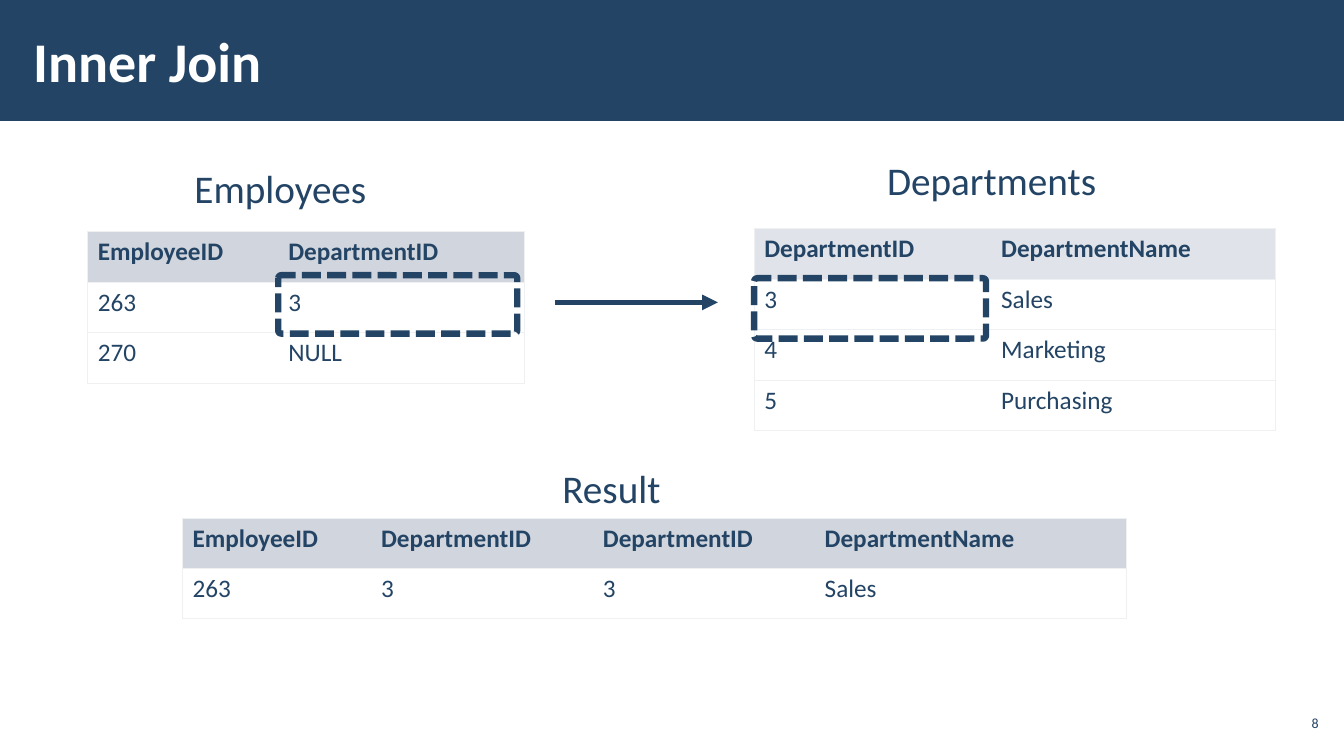
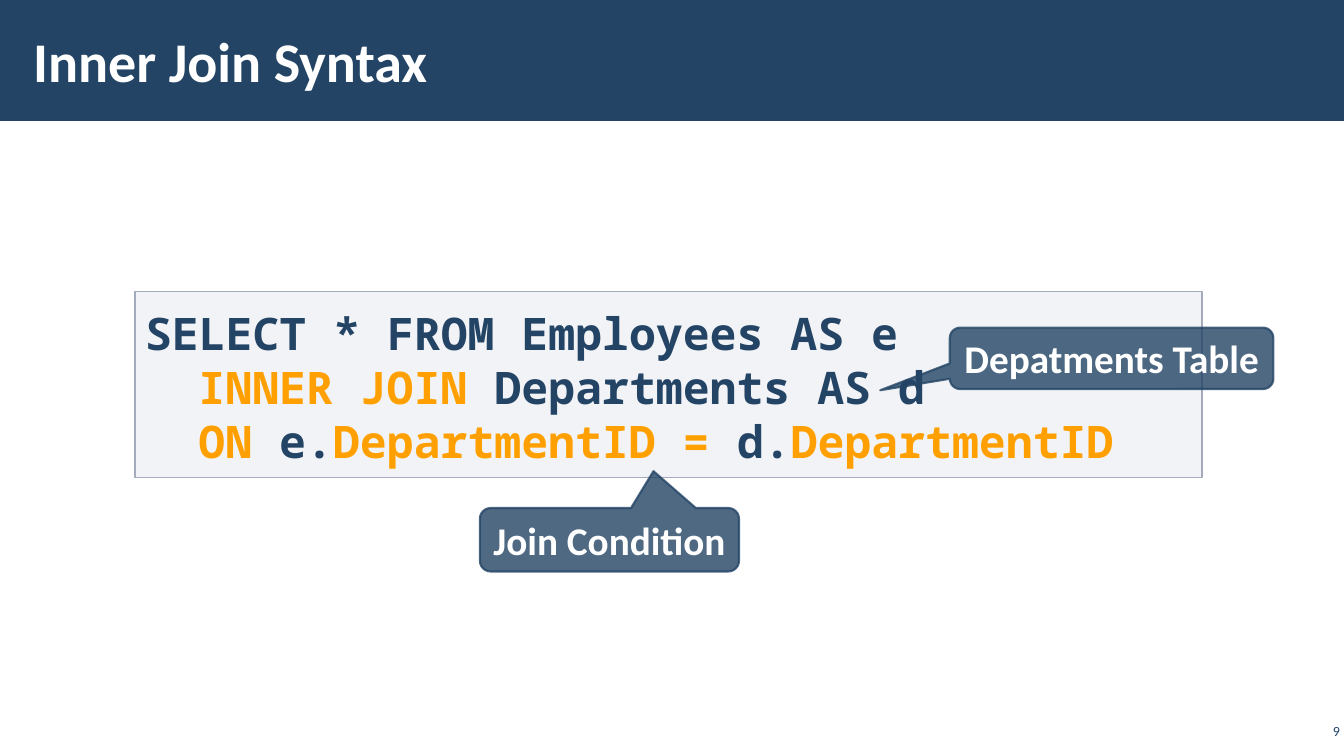
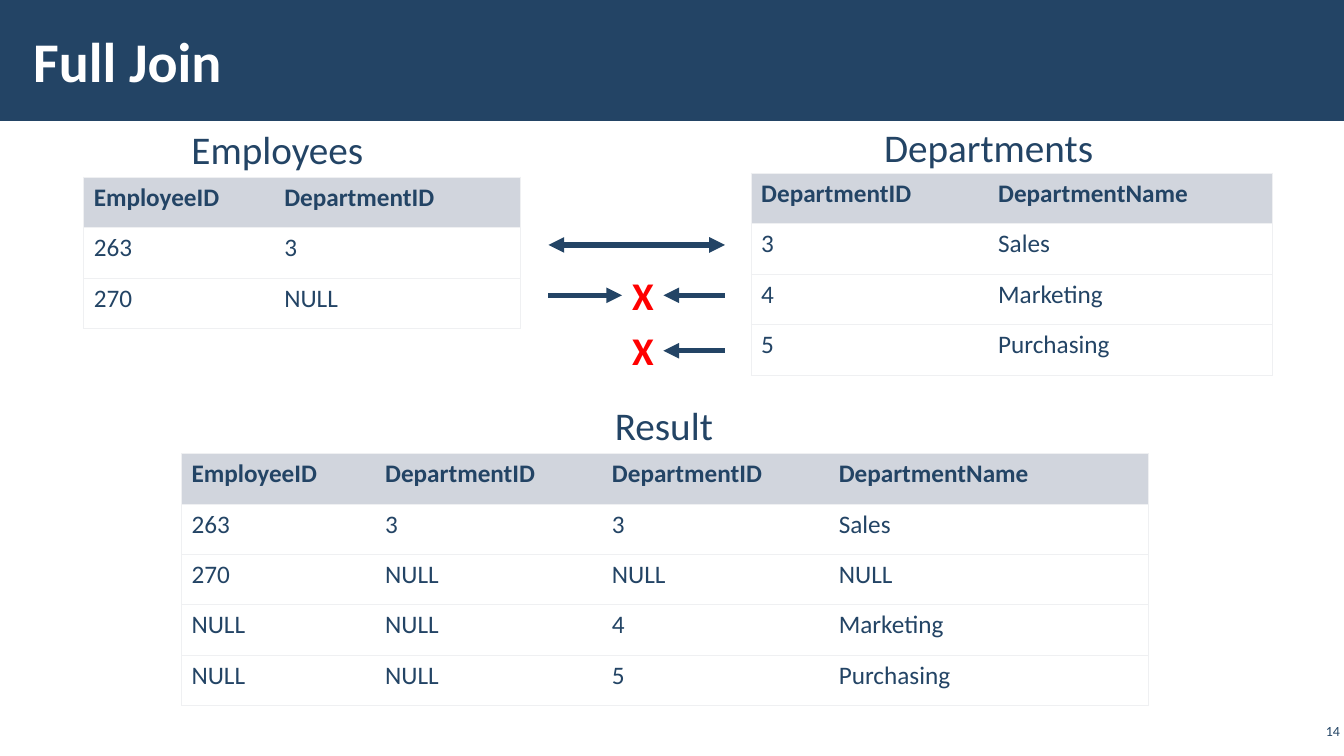
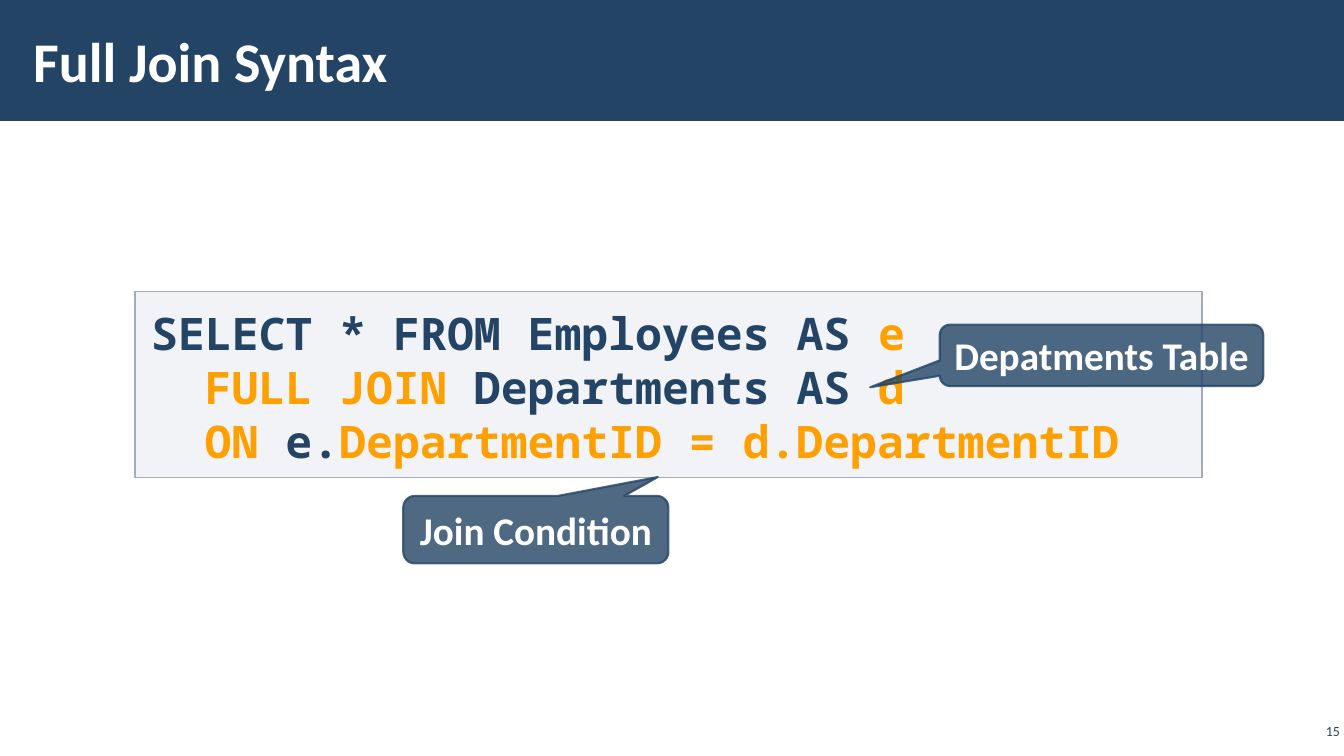
from lxml import etree
from pptx import Presentation
from pptx.dml.color import RGBColor
from pptx.enum.dml import MSO_LINE
from pptx.enum.shapes import MSO_CONNECTOR, MSO_SHAPE
from pptx.enum.text import MSO_ANCHOR, MSO_AUTO_SIZE, PP_ALIGN
from pptx.oxml.ns import qn
from pptx.util import Inches, Pt

RECTANGLE = MSO_SHAPE.RECTANGLE
ROUNDED = MSO_SHAPE.ROUNDED_RECTANGLE
CALLOUT = MSO_SHAPE.ROUNDED_RECTANGULAR_CALLOUT
STRAIGHT = MSO_CONNECTOR.STRAIGHT
DASHED = MSO_LINE.SQUARE_DOT
MIDDLE, TOP = MSO_ANCHOR.MIDDLE, MSO_ANCHOR.TOP
LEFT, CENTER, RIGHT = PP_ALIGN.LEFT, PP_ALIGN.CENTER, PP_ALIGN.RIGHT
FIT_SHAPE = MSO_AUTO_SIZE.SHAPE_TO_FIT_TEXT

NAVY, WHITE, ORANGE, RED = "234465", "FFFFFF", "FFA000", "FF0000"
HEADER, PALE_HEADER, GRID = "D1D5DD", "E0E3E9", "EFF0F2"
CODE_FILL, CODE_LINE = "C2C7D2", "A3ABBC"
FONT, CODE_FONT = "Calibri", "Noto Sans Mono"
PLAIN_TABLE = "{2D5ABB26-0587-4C30-8999-92F81FD0307C}"
ROW_HEIGHT = 0.5
CODE_INDENT = 0.53

EMPLOYEES = [("EmployeeID", "DepartmentID"), ("263", "3"), ("270", "NULL")]
DEPARTMENTS = [("DepartmentID", "DepartmentName"), ("3", "Sales"),
               ("4", "Marketing"), ("5", "Purchasing")]
RESULT_HEADER = EMPLOYEES[0] + DEPARTMENTS[0]
EMPLOYEE_COLUMNS = (1.89, 2.44)
DEPARTMENT_COLUMNS = (2.35, 2.82)


def color(value):
    return RGBColor.from_string(value)


def inches(values):
    return [Inches(value) for value in values]


def set_opacity(element, percent):
    """Give every colour below the element the same opacity."""
    for node in element.iter(qn("a:srgbClr")):
        etree.SubElement(node, qn("a:alpha"), val=str(percent * 1000))


def style_run(span, size, tint, bold=False, font=FONT):
    span.font.name = font
    span.font.size = Pt(size)
    span.font.bold = bold
    span.font.color.rgb = color(tint)


def set_insets(frame, left, top, right, bottom):
    frame.margin_left, frame.margin_top, frame.margin_right, frame.margin_bottom = inches(
        (left, top, right, bottom))


def set_border(cell, side, visible):
    border = etree.SubElement(cell._tc.get_or_add_tcPr(), qn("a:ln" + side), w=str(Pt(0.75)))
    if visible:
        fill = etree.SubElement(border, qn("a:solidFill"))
        etree.SubElement(fill, qn("a:srgbClr"), val=GRID)
    else:
        etree.SubElement(border, qn("a:noFill"))


class JoinDeck:
    """Holds the shared style and the slide being filled."""

    def __init__(self):
        self.deck = Presentation()
        self.deck.slide_width, self.deck.slide_height = inches((13.33, 7.5))
        self.page = None

    def new_slide(self, title, number, number_at=(12.86, 7.14, 0.47, 0.22)):
        self.page = self.deck.slides.add_slide(self.deck.slide_layouts[6])
        self.shape(RECTANGLE, (0, 0, 13.33, 1.2), fill=NAVY)
        self.text(title, (0.21, 0.11, 10.4, 0.97), 40, WHITE, bold=True,
                  anchor=MIDDLE, insets=(0.12, 0.04, 0.12, 0.04))
        self.text(number, number_at, 10, NAVY, align=RIGHT,
                  anchor=MIDDLE, insets=(0.04,) * 4)

    def shape(self, kind, at, fill=None, line=None, width=1):
        box = self.page.shapes.add_shape(kind, *inches(at))
        box.shadow.inherit = False
        if fill:
            box.fill.solid()
            box.fill.fore_color.rgb = color(fill)
        else:
            box.fill.background()
        if line:
            box.line.color.rgb = color(line)
            box.line.width = Pt(width)
        else:
            box.line.fill.background()
        return box

    def text(self, words, at, size, tint, bold=False, align=LEFT, anchor=TOP,
             insets=(0.1, 0.05, 0.1, 0.05), wrap=True):
        box = self.page.shapes.add_textbox(*inches(at))
        frame = box.text_frame
        frame.word_wrap = wrap
        frame.vertical_anchor = anchor
        set_insets(frame, *insets)
        frame.text = words
        para = frame.paragraphs[0]
        para.alignment = align
        style_run(para.runs[0], size, tint, bold)
        return box

    def label(self, words, left, top, width, tint=NAVY, bold=False):
        box = self.text(words, (left, top, width, 0.57), 28, tint, bold, wrap=False)
        box.text_frame.auto_size = FIT_SHAPE

    def table(self, rows, left, top, columns, header=HEADER):
        size = (left, top, sum(columns), ROW_HEIGHT * len(rows))
        table = self.page.shapes.add_table(len(rows), len(columns), *inches(size)).table
        table.horz_banding = False
        table._tbl.tblPr.find(qn("a:tableStyleId")).text = PLAIN_TABLE
        for column, width in zip(table.columns, columns):
            column.width = Inches(width)
        for r, row in enumerate(rows):
            table.rows[r].height = Inches(ROW_HEIGHT)
            for c, words in enumerate(row):
                cell = table.cell(r, c)
                set_border(cell, "L", c == 0)
                set_border(cell, "R", c == len(row) - 1)
                set_border(cell, "T", True)
                set_border(cell, "B", True)
                if r == 0:
                    cell.fill.solid()
                    cell.fill.fore_color.rgb = color(header)
                else:
                    cell.fill.background()
                cell.text = words
                style_run(cell.text_frame.paragraphs[0].runs[0], 18, NAVY, bold=r == 0)

    def arrow(self, start, end, y, both_ends=False):
        line = self.page.shapes.add_connector(STRAIGHT, *inches((start, y, end, y)))
        line.line.color.rgb = color(NAVY)
        line.line.width = Pt(3.75)
        properties = line._element.spPr
        outline = properties.find(qn("a:ln"))
        for tip in ("a:headEnd", "a:tailEnd") if both_ends else ("a:tailEnd",):
            etree.SubElement(outline, qn(tip), type="triangle")
        etree.SubElement(properties, qn("a:effectLst"))

    def highlight(self, *at):
        """Frame a table cell with a dashed outline."""
        box = self.shape(ROUNDED, at, line=NAVY, width=4.5)
        box.adjustments[0] = 0.05
        box.line.dash_style = DASHED

    def callout(self, words, at, tip):
        box = self.shape(CALLOUT, at, fill=NAVY, line=NAVY, width=1.5)
        for index, value in enumerate((*tip, 0.17)):
            box.adjustments[index] = value
        set_opacity(box._element.spPr, 80)
        frame = box.text_frame
        frame.word_wrap = False
        frame.vertical_anchor = MIDDLE
        frame.text = words
        para = frame.paragraphs[0]
        para.alignment = CENTER
        style_run(para.runs[0], 28, WHITE, bold=True)

    def code(self, lines, left_inset):
        """Show code; text between bars is highlighted, later lines are indented."""
        box = self.shape(RECTANGLE, (1.34, 2.89, 10.58, 1.85), CODE_FILL, CODE_LINE)
        set_opacity(box._element.spPr.find(qn("a:solidFill")), 20)
        frame = box.text_frame
        frame.word_wrap = True
        frame.vertical_anchor = TOP
        set_insets(frame, left_inset, 0.14, 0, 0.1)
        for index, line in enumerate(lines):
            para = frame.add_paragraph() if index else frame.paragraphs[0]
            para.alignment = LEFT
            para.line_spacing = Pt(38.6)
            if index:
                para._p.get_or_add_pPr().set("marL", str(Inches(CODE_INDENT)))
            for part, words in enumerate(line.split("|")):
                if words:
                    span = para.add_run()
                    span.text = words
                    style_run(span, 32, ORANGE if part % 2 else NAVY, True, CODE_FONT)


def main():
    show = JoinDeck()

    show.new_slide("Inner Join", "8", (12.65, 7, 0.47, 0.34))
    show.table(EMPLOYEES, 0.87, 2.3, EMPLOYEE_COLUMNS)
    show.arrow(5.5, 7.12, 3)
    show.label("Employees", 1.83, 1.58, 1.92)
    show.table(DEPARTMENTS, 7.48, 2.27, DEPARTMENT_COLUMNS, PALE_HEADER)
    show.label("Departments", 8.7, 1.5, 2.3)
    show.table([RESULT_HEADER, ("263", "3", "3", "Sales")],
               1.81, 5.14, (1.87, 2.2, 2.2, 3.09))
    show.label("Result", 5.48, 4.56, 1.19)
    show.highlight(2.76, 2.73, 2.37, 0.58)
    show.highlight(7.48, 2.76, 2.3, 0.6)

    show.new_slide("Inner Join Syntax", "9")
    show.code(["SELECT * FROM Employees AS e",
               "|INNER JOIN |Departments AS d",
               "|ON| e.|DepartmentID =| d.|DepartmentID"], 0.1)
    show.callout("Depatments Table", (9.42, 3.25, 3.21, 0.61), (-0.715, 0.52))
    show.callout("Join Condition", (4.76, 5.04, 2.57, 0.63), (0.17, -1.08))

    show.new_slide("Full Join", "14")
    show.table(EMPLOYEES, 0.83, 1.76, EMPLOYEE_COLUMNS)
    show.label("Employees", 1.8, 1.19, 1.92)
    show.table(DEPARTMENTS, 7.45, 1.72, DEPARTMENT_COLUMNS)
    show.label("Departments", 8.67, 1.17, 2.3)
    show.arrow(7.19, 5.44, 2.43, both_ends=True)
    show.arrow(5.44, 6.17, 2.93)
    for y in (2.93, 3.48):
        show.arrow(7.19, 6.58, y)
        show.label("X", 6.17, y - 0.29, 0.42, RED, bold=True)
    show.table([RESULT_HEADER,
                ("263", "3", "3", "Sales"),
                ("270", "NULL", "NULL", "NULL"),
                ("NULL", "NULL", "4", "Marketing"),
                ("NULL", "NULL", "5", "Purchasing")],
               1.8, 4.5, (1.92, 2.25, 2.25, 3.17))
    show.label("Result", 6, 3.93, 1.19)

    show.new_slide("Full Join Syntax", "15")
    show.code(["SELECT * FROM Employees AS |e",
               "|FULL JOIN |Departments AS |d",
               "|ON| e.|DepartmentID = d.DepartmentID"], 0.16)
    show.callout("Depatments Table", (9.32, 3.22, 3.21, 0.61), (-0.715, 0.52))
    show.callout("Join Condition", (4, 4.92, 2.63, 0.67), (0.46, -0.78))

    show.deck.save("out.pptx")


if __name__ == "__main__":
    main()
